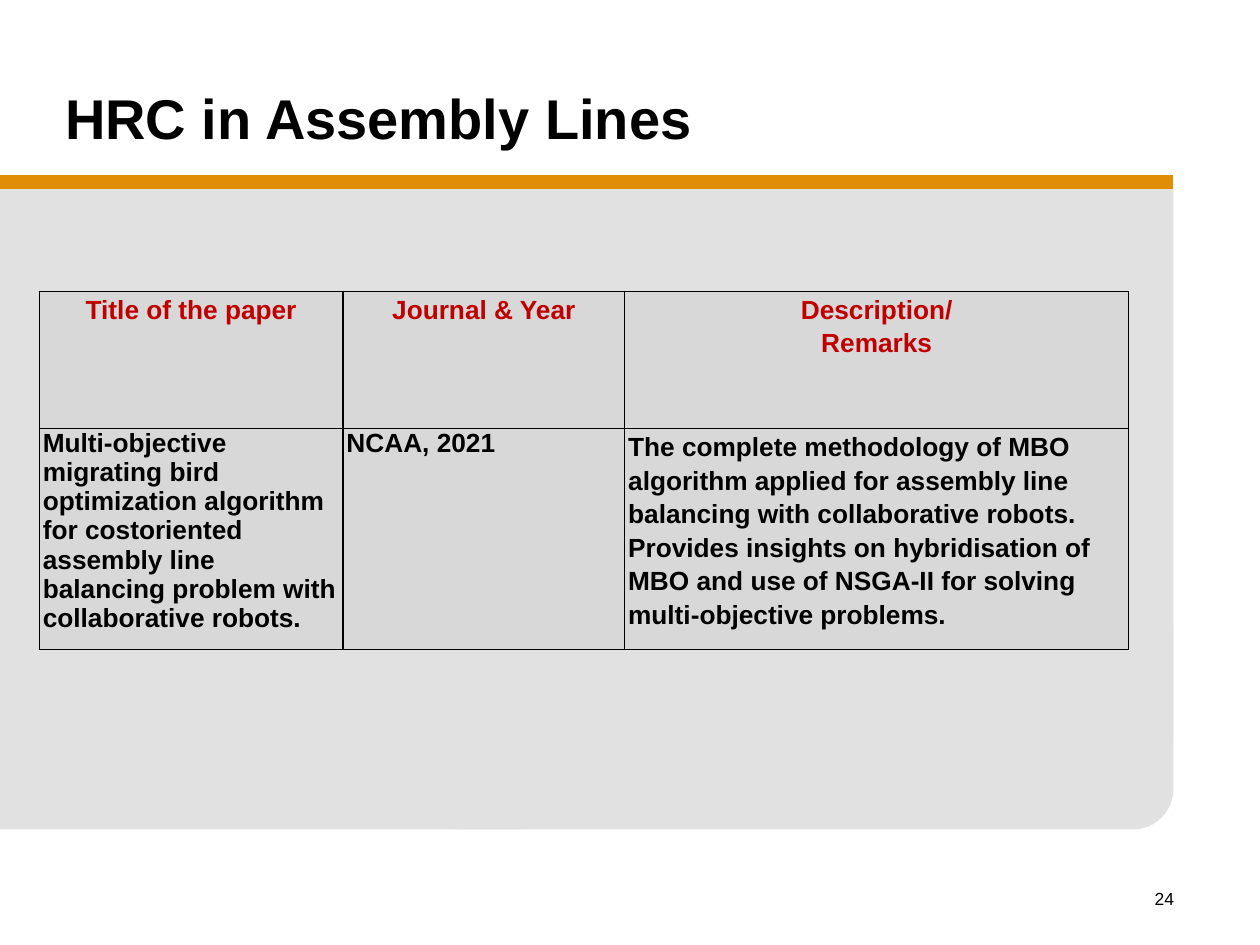
import pptx
import pptx.dml.color
import pptx.enum.shapes
import pptx.enum.text
import pptx.oxml
import pptx.oxml.ns
import pptx.util
from dataclasses import dataclass

Pt = pptx.util.Pt
Shape = pptx.enum.shapes.MSO_SHAPE
Align = pptx.enum.text.PP_ALIGN
Anchor = pptx.enum.text.MSO_ANCHOR
DRAWING = pptx.oxml.ns.nsdecls("a")


@dataclass(frozen=True)
class Theme:
    font: str = "Arial"
    ink: str = "000000"
    heading: str = "C00000"
    panel: str = "E1E1E1"
    cell: str = "D8D8D8"
    rule: str = "DF8E05"
    title_size: float = 32
    table_size: float = 15
    number_size: float = 10
    rule_width: float = 8
    border_width: float = 1


def color(value):
    return pptx.dml.color.RGBColor.from_string(value)


def apply(target, values):
    for name, value in values.items():
        setattr(target, name, value)


def box(left, top, width, height):
    return {"left": Pt(left), "top": Pt(top), "width": Pt(width), "height": Pt(height)}


class SlideBuilder:
    def __init__(self, slide, theme):
        self.slide = slide
        self.theme = theme

    def set_text(self, frame, lines, size, ink, bold=False, **paragraph_format):
        """Fill a text frame with one paragraph per line."""
        frame.text = "\n".join(lines)
        for paragraph in frame.paragraphs:
            apply(paragraph, paragraph_format)
            for run in paragraph.runs:
                apply(run.font, {"name": self.theme.font, "size": Pt(size), "bold": bold})
                run.font.color.rgb = color(ink)

    def panel(self, kind, place, corner=None):
        shape = self.slide.shapes.add_shape(kind, **place)
        shape.shadow.inherit = False
        shape.fill.solid()
        shape.fill.fore_color.rgb = color(self.theme.panel)
        shape.line.fill.background()
        if corner is not None:
            shape.adjustments[0] = corner

    def rule(self, left, right, y):
        connector = self.slide.shapes.add_connector(
            pptx.enum.shapes.MSO_CONNECTOR.STRAIGHT, Pt(left), Pt(y), Pt(right), Pt(y))
        connector.line.color.rgb = color(self.theme.rule)
        connector.line.width = Pt(self.theme.rule_width)
        connector._element.spPr.append(pptx.oxml.parse_xml(f"<a:effectLst {DRAWING}/>"))

    def title(self, text, place):
        title = self.slide.shapes.title
        apply(title, place)
        title.text_frame.vertical_anchor = Anchor.MIDDLE
        self.set_text(title.text_frame, [text], self.theme.title_size, self.theme.ink,
                      bold=True, alignment=Align.LEFT)

    def page_number(self, text, place):
        frame = self.slide.shapes.add_textbox(**place).text_frame
        frame.word_wrap = True
        self.set_text(frame, [text], self.theme.number_size, self.theme.ink,
                      alignment=Align.RIGHT)

    def border(self, cell):
        properties = cell._tc.get_or_add_tcPr()
        width = Pt(self.theme.border_width)
        for index, side in enumerate(("lnL", "lnR", "lnT", "lnB")):
            properties.insert(index, pptx.oxml.parse_xml(
                f'<a:{side} {DRAWING} w="{width}"><a:solidFill>'
                f'<a:srgbClr val="{self.theme.ink}"/></a:solidFill></a:{side}>'))

    def table(self, left, top, widths, heights, rows):
        """Each cell in rows is a pair: its lines and its line spacing."""
        place = box(left, top, sum(widths), sum(heights))
        table = self.slide.shapes.add_table(len(rows), len(widths), **place).table
        apply(table, {"first_row": False, "horz_banding": False})
        for column, width in zip(table.columns, widths):
            column.width = Pt(width)
        for row, height in zip(table.rows, heights):
            row.height = Pt(height)
        margins = {"margin_left": Pt(2), "margin_right": Pt(2),
                   "margin_top": 0, "margin_bottom": 0}
        for row_index, row in enumerate(rows):
            header = row_index == 0
            for column_index, (lines, spacing) in enumerate(row):
                cell = table.cell(row_index, column_index)
                apply(cell, margins)
                cell.fill.solid()
                cell.fill.fore_color.rgb = color(self.theme.cell)
                self.border(cell)
                self.set_text(cell.text_frame, lines, self.theme.table_size,
                              self.theme.heading if header else self.theme.ink, bold=True,
                              alignment=Align.CENTER if header else Align.LEFT,
                              line_spacing=spacing)


def main():
    presentation = pptx.Presentation()
    apply(presentation, {"slide_width": Pt(720), "slide_height": Pt(540)})
    slide = presentation.slides.add_slide(presentation.slide_layouts.get_by_name("Title Only"))
    builder = SlideBuilder(slide, Theme())

    panel_right = 670.5
    builder.panel(Shape.RECTANGLE, box(0, 107.5, panel_right, 314))
    builder.panel(Shape.ROUNDED_RECTANGLE, box(240, 336, panel_right - 240, 138), 0.167)
    builder.panel(Shape.RECTANGLE, box(0, 198, 298, 276))
    builder.rule(0, panel_right, 104.25)
    builder.page_number("24", box(528, 504, 150, 36))
    builder.title("HRC in Assembly Lines", box(30, 12, 648, 109.5))

    loose, single = 1.15, 1.0
    builder.table(22.5, 166.5, [173.5, 161, 288], [78.5, 126], [
        [(["Title of the paper"], loose),
         (["Journal & Year"], loose),
         (["Description/", "Remarks"], loose)],
        [(["Multi-objective migrating bird optimization algorithm for costoriented "
           "assembly line balancing problem with collaborative robots."], single),
         (["NCAA, 2021"], single),
         (["The complete methodology of MBO algorithm applied for assembly line "
           "balancing with collaborative robots. Provides insights on hybridisation "
           "of MBO and use of NSGA-II for solving multi-objective problems."], loose)],
    ])
    presentation.save("out.pptx")


if __name__ == "__main__":
    main()
